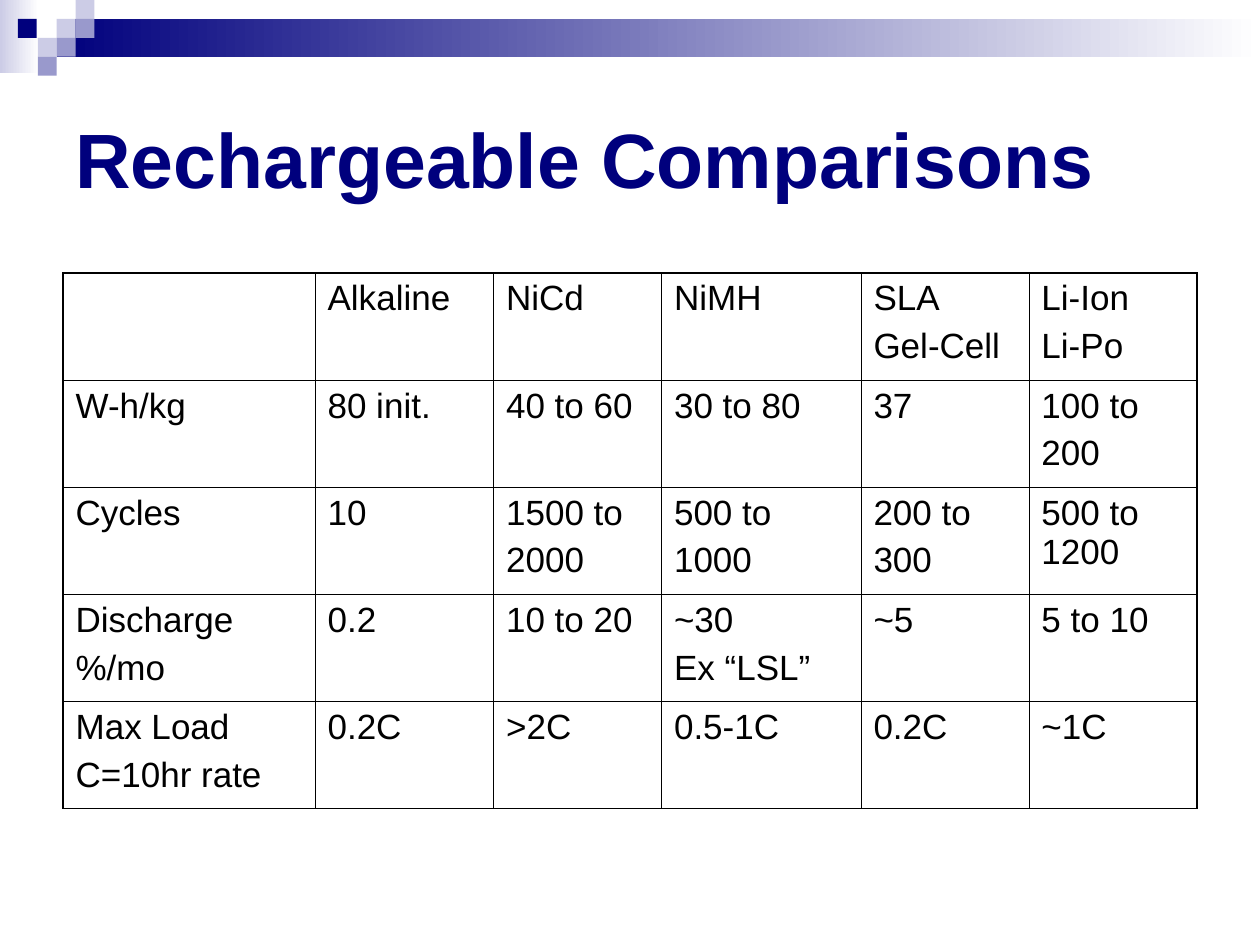
from lxml.etree import SubElement
from pptx import Presentation
from pptx.dml.color import RGBColor
from pptx.enum.shapes import MSO_SHAPE as Shape
from pptx.enum.text import MSO_ANCHOR as Anchor
from pptx.oxml.ns import qn
from pptx.util import Pt

NAVY = RGBColor(0x00, 0x00, 0x7D)
PERIWINKLE = RGBColor(0x99, 0x99, 0xCC)
LAVENDER = RGBColor(0xCC, 0xCC, 0xE6)
WHITE = RGBColor(0xFF, 0xFF, 0xFF)
BLACK = RGBColor(0x00, 0x00, 0x00)

SQUARE = 10.8
SQUARES = [  # left, top, colour
    (32.4, 10.8, LAVENDER),
    (43.2, 0, LAVENDER),
    (43.2, 10.8, PERIWINKLE),
    (21.6, 21.6, LAVENDER),
    (10.2, 10.8, NAVY),
    (32.4, 21.6, PERIWINKLE),
    (21.6, 32.4, PERIWINKLE),
]

OUTER_LINE, INNER_LINE = 1.08, 0.45
ROW_HEIGHT = 61.2
COLUMN_WIDTHS = [144, 102, 96, 114, 96, 96]
ROWS = [
    ["", "Alkaline", "NiCd", "NiMH", "SLA\nGel-Cell", "Li-Ion\nLi-Po"],
    ["W-h/kg", "80 init.", "40 to 60", "30 to 80", "37", "100 to\n200"],
    ["Cycles", "10", "1500 to\n2000", "500 to\n1000", "200 to\n300", "500 to 1200"],
    ["Discharge\n%/mo", "0.2", "10 to 20", "~30\nEx “LSL”", "~5", "5 to 10"],
    ["Max Load\nC=10hr rate", "0.2C", ">2C", "0.5-1C", "0.2C", "~1C"],
]


def write_text(frame, text, size=20, color=BLACK, bold=False, space_before=0):
    """Fill a text frame with one paragraph for each line of text."""
    frame.word_wrap = True
    for index, line in enumerate(text.split("\n")):
        paragraph = frame.paragraphs[0] if index == 0 else frame.add_paragraph()
        paragraph.space_before = Pt(space_before)
        run = paragraph.add_run()
        run.text = line
        run.font.name = "Arial"
        run.font.size = Pt(size)
        run.font.bold = bold
        run.font.color.rgb = color


def add_rectangle(slide, left, top, width, height, color, fade_to=None):
    """Add a plain rectangle, fading from left to right if fade_to is given."""
    shape = slide.shapes.add_shape(
        Shape.RECTANGLE, Pt(left), Pt(top), Pt(width), Pt(height))
    shape.shadow.inherit = False
    shape.line.fill.background()
    if fade_to is None:
        shape.fill.solid()
        shape.fill.fore_color.rgb = color
        return
    shape.fill.gradient()
    shape.fill.gradient_angle = 0
    for stop, stop_color in zip(shape.fill.gradient_stops, (color, fade_to)):
        stop.color.rgb = stop_color


def add_header_band(slide):
    add_rectangle(slide, 0, 0, 22.3, 41.8, LAVENDER, fade_to=WHITE)
    add_rectangle(slide, 32.4, 10.8, 687.6, 21.6, NAVY, fade_to=WHITE)
    for left, top, color in SQUARES:
        add_rectangle(slide, left, top, SQUARE, SQUARE, color)


def add_title(slide, text):
    box = slide.shapes.add_textbox(Pt(36), Pt(36), Pt(648), Pt(108))
    box.text_frame.vertical_anchor = Anchor.MIDDLE
    write_text(box.text_frame, text, size=44, color=NAVY, bold=True)


def set_borders(cell, widths):
    """Draw the cell's lines; widths go left, right, top, bottom."""
    properties = cell._tc.get_or_add_tcPr()
    for index, (side, width) in enumerate(zip("LRTB", widths)):
        line = SubElement(properties, qn(f"a:ln{side}"), w=str(Pt(width)))
        fill = SubElement(line, qn("a:solidFill"))
        SubElement(fill, qn("a:srgbClr"), val=str(BLACK))
        properties.insert(index, line)


def add_comparison_table(slide):
    last_row, last_column = len(ROWS) - 1, len(COLUMN_WIDTHS) - 1
    table = slide.shapes.add_table(
        len(ROWS), len(COLUMN_WIDTHS), Pt(36), Pt(156),
        Pt(sum(COLUMN_WIDTHS)), Pt(ROW_HEIGHT * len(ROWS))).table
    table.first_row = table.horz_banding = False
    for column, width in zip(table.columns, COLUMN_WIDTHS):
        column.width = Pt(width)
    for r, texts in enumerate(ROWS):
        table.rows[r].height = Pt(ROW_HEIGHT)
        for c, text in enumerate(texts):
            cell = table.cell(r, c)
            cell.fill.background()
            edges = (c == 0, c == last_column, r == 0, r == last_row)
            set_borders(cell, [OUTER_LINE if edge else INNER_LINE for edge in edges])
            if text:
                write_text(cell.text_frame, text, space_before=5)


def main():
    presentation = Presentation()
    presentation.slide_width, presentation.slide_height = Pt(720), Pt(540)
    slide = presentation.slides.add_slide(presentation.slide_layouts[6])
    add_header_band(slide)
    add_title(slide, "Rechargeable Comparisons")
    add_comparison_table(slide)
    presentation.save("out.pptx")


if __name__ == "__main__":
    main()
